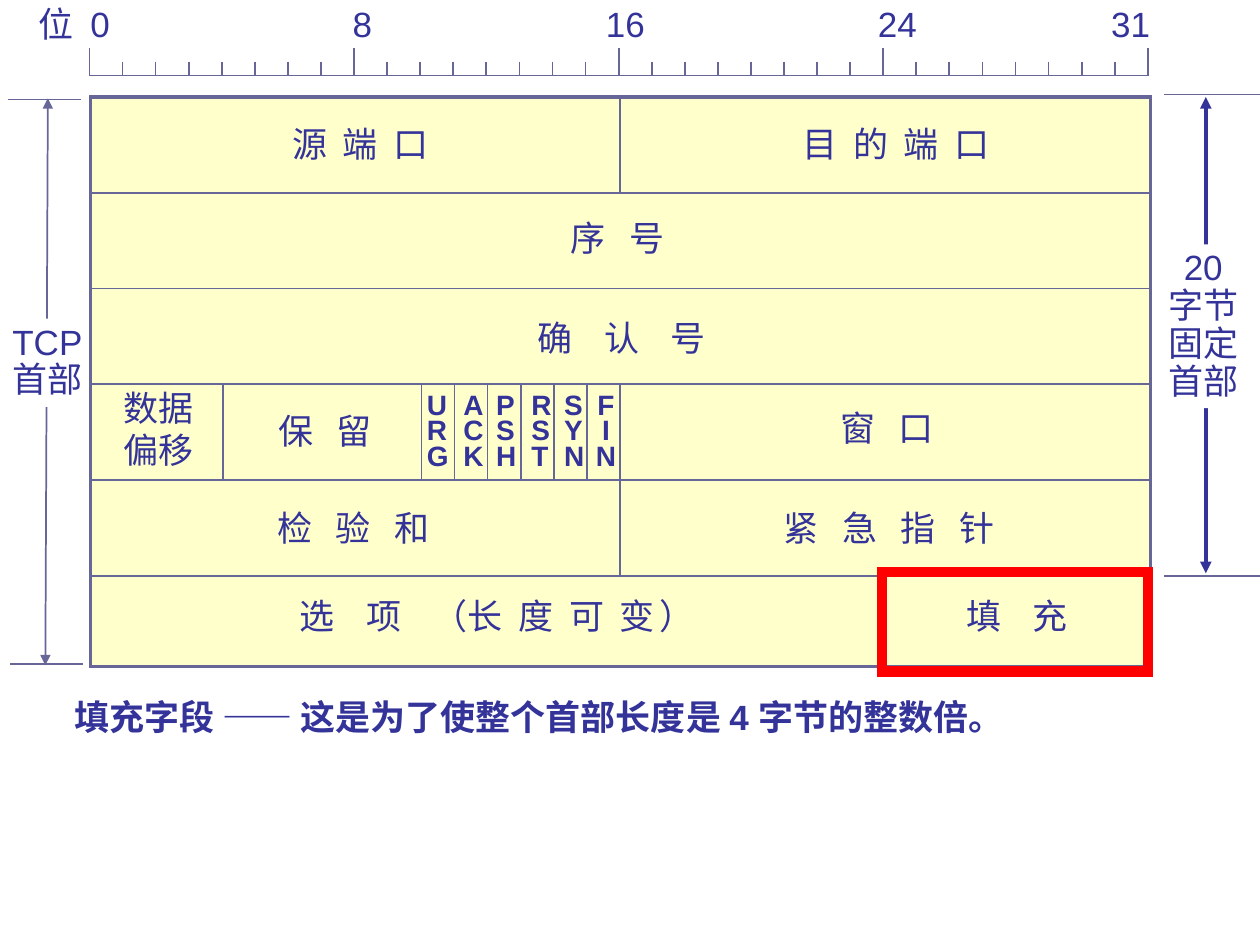
import pptx
import pptx.util
import pptx.dml.color
import pptx.enum.shapes
import pptx.enum.text
import pptx.oxml
import pptx.oxml.ns

Inches, Pt = pptx.util.Inches, pptx.util.Pt
RGBColor = pptx.dml.color.RGBColor
Align = pptx.enum.text.PP_ALIGN

INK = RGBColor(0x33, 0x33, 0x99)
GRID = RGBColor(0x66, 0x66, 0x99)
CREAM = RGBColor(0xFF, 0xFF, 0xCC)
WHITE = RGBColor(0xFF, 0xFF, 0xFF)
RED = RGBColor(0xFF, 0x00, 0x00)

LEFT, RIGHT, TOP, BOTTOM = 0.72, 9.13, 0.77, 5.29
ROW_HEIGHT, ROW_COUNT = 0.76, 6
RULER_LEFT, BIT_WIDTH, RULER_BASE = 0.71, 0.2625, 0.6
MAJOR_TICK, MINOR_TICK = 0.22, 0.11
SPACE_WIDTH = 4.5

FIELDS = [
    ([("源 端 口", 2)], 2.22, 0.92, 1.28, 0.43),
    ([("目 的 端 口", 2)], 6.27, 0.92, 1.69, 0.43),
    ([("序 号", 3)], 4.43, 1.67, 1.51, 0.43),
    ([("确 认 号", 4)], 4.17, 2.46, 2.01, 0.43),
    ([("数据\n偏移", 1)], 0.88, 3.02, 0.76, 0.76),
    ([("保 留", 3)], 2.11, 3.2, 0.94, 0.43),
    ([("窗 口", 3)], 6.57, 3.18, 0.94, 0.43),
    ([("检 验 和", 3)], 2.1, 3.97, 1.41, 0.43),
    ([("紧 急 指 针", 3)], 6.12, 3.97, 1.87, 0.43),
    ([("选 项 ", 4), ("（", 1), ("长 度 可 变", 2), ("）", 1)], 2.28, 4.67, 3.5, 0.43),
    ([("填 充", 4)], 7.57, 4.67, 1.37, 0.43),
]
FLAGS = [("URG", 3.29), ("ACK", 3.58), ("PSH", 3.84),
         ("RST", 4.12), ("SYN", 4.38), ("FIN", 4.63)]
DIVIDERS = [(16, 0, 1), (4, 3, 4), (16, 3, 5), (24, 5, 6)]
DIVIDERS += [(bit, 3, 4) for bit in range(10, 16)]
RULER_TEXT = "位\t0\t8\t16\t24\t31"
RULER_TABS = [0.41, 2.49, 4.5, 6.66, 8.51]
CAPTION = "填充字段 —— 这是为了使整个首部长度是 4 字节的整数倍。"
BRACKETS = [(9.24, 10, 0.75), (9.24, 10, 4.57), (0.06, 0.64, 0.79), (0.08, 0.66, 5.27)]

deck = pptx.Presentation()
deck.slide_width, deck.slide_height = Inches(10), Inches(7.5)
page = deck.slides.add_slide(deck.slide_layouts[6])


def apply(target, values):
    for name, value in values.items():
        setattr(target, name, value)


def add_child(parent, tag, **attributes):
    child = parent.makeelement(pptx.oxml.ns.qn(tag), attributes)
    parent.append(child)
    return child


def add_line(x1, y1, x2, y2, color=GRID, width=1, arrows=False):
    line = page.shapes.add_connector(
        pptx.enum.shapes.MSO_CONNECTOR.STRAIGHT,
        Inches(x1), Inches(y1), Inches(x2), Inches(y2))
    line.line.color.rgb = color
    line.line.width = Pt(width)
    if arrows:
        outline = line.line._get_or_add_ln()
        for tag in ("a:headEnd", "a:tailEnd"):
            add_child(outline, tag, type="triangle")
    add_child(line._element.spPr, "a:effectLst")


def add_frame(x, y, width, height, color, weight, fill=None):
    frame = page.shapes.add_shape(
        pptx.enum.shapes.MSO_SHAPE.RECTANGLE,
        Inches(x), Inches(y), Inches(width), Inches(height))
    frame.shadow.inherit = False
    frame.line.color.rgb = color
    frame.line.width = Pt(weight)
    add_child(frame.line._get_or_add_ln(), "a:miter", lim="800000")
    if fill is None:
        frame.fill.background()
    else:
        frame.fill.solid()
        frame.fill.fore_color.rgb = fill


def add_text(spans, x, y, width, height, size=20, bold=False, wrap=True,
             align=Align.LEFT, spacing=1.0, fill=None, tabs=(), right_inset=0.1):
    box = page.shapes.add_textbox(Inches(x), Inches(y), Inches(width), Inches(height))
    if fill is not None:
        box.fill.solid()
        box.fill.fore_color.rgb = fill
    apply(box.text_frame, {"word_wrap": wrap, "margin_right": Inches(right_inset)})
    para = box.text_frame.paragraphs[0]
    paras = [para]
    for text, gap in spans:
        for index, part in enumerate(text.split("\n")):
            if index:
                para = box.text_frame.add_paragraph()
                paras.append(para)
            span = para.add_run()
            span.text = part
            apply(span.font, {"name": "Arial", "size": Pt(size), "bold": bold})
            span.font.color.rgb = INK
            if gap > 1:
                extra = (gap - 1) * SPACE_WIDTH / 2
                span._r.get_or_add_rPr().set("spc", str(round(extra * 100)))
    for para in paras:
        apply(para, {"alignment": align, "line_spacing": spacing})
        if tabs:
            stops = add_child(para._p.get_or_add_pPr(), "a:tabLst")
            for stop in tabs:
                add_child(stops, "a:tab", pos=str(Inches(stop)), algn="l")


def row_edge(row):
    return BOTTOM if row == ROW_COUNT else TOP + row * ROW_HEIGHT


add_line(0.38, 0.78, 0.36, 5.28, arrows=True)
add_text([("TCP\n首部", 1)], 0, 2.53, 0.76, 0.7, wrap=False, spacing=0.9, fill=WHITE)
add_line(9.57, 0.77, 9.57, 4.55, INK, 2.25, arrows=True)
add_text([("20\n字节\n固定\n首部", 1)], 9.17, 1.94, 0.76, 1.3, wrap=False,
         align=Align.CENTER, spacing=0.9, fill=WHITE)

add_frame(LEFT, TOP, RIGHT - LEFT, BOTTOM - TOP, GRID, 2, CREAM)
for row in range(1, ROW_COUNT):
    add_line(LEFT, row_edge(row), RIGHT, row_edge(row))
for bit, first, last in DIVIDERS:
    x = LEFT + bit * BIT_WIDTH
    add_line(x, row_edge(first), x, row_edge(last))
for spans, x, y, width, height in FIELDS:
    add_text(spans, x, y, width, height, right_inset=0)
for name, x in FLAGS:
    add_text([("\n".join(name), 1)], x, 3.09, 0.36, 0.7, size=16, bold=True, wrap=False,
             align=Align.CENTER if name == "FIN" else Align.LEFT, spacing=0.75)

add_line(RULER_LEFT, RULER_BASE, RULER_LEFT + 32 * BIT_WIDTH, RULER_BASE)
for bit in range(33):
    x = RULER_LEFT + bit * BIT_WIDTH
    tick = MINOR_TICK if bit % 8 else MAJOR_TICK
    add_line(x, RULER_BASE - tick, x, RULER_BASE)
add_text([(RULER_TEXT, 1)], 0.21, -0.03, 9.04, 0.43, tabs=RULER_TABS)

for start, end, y in BRACKETS:
    add_line(start, y, end, y)
add_frame(7, 4.54, 2.11, 0.79, RED, 6)
add_text([(CAPTION, 1)], 0.49, 5.47, 9.08, 0.44, bold=True, align=Align.JUSTIFY)

deck.save("out.pptx")
